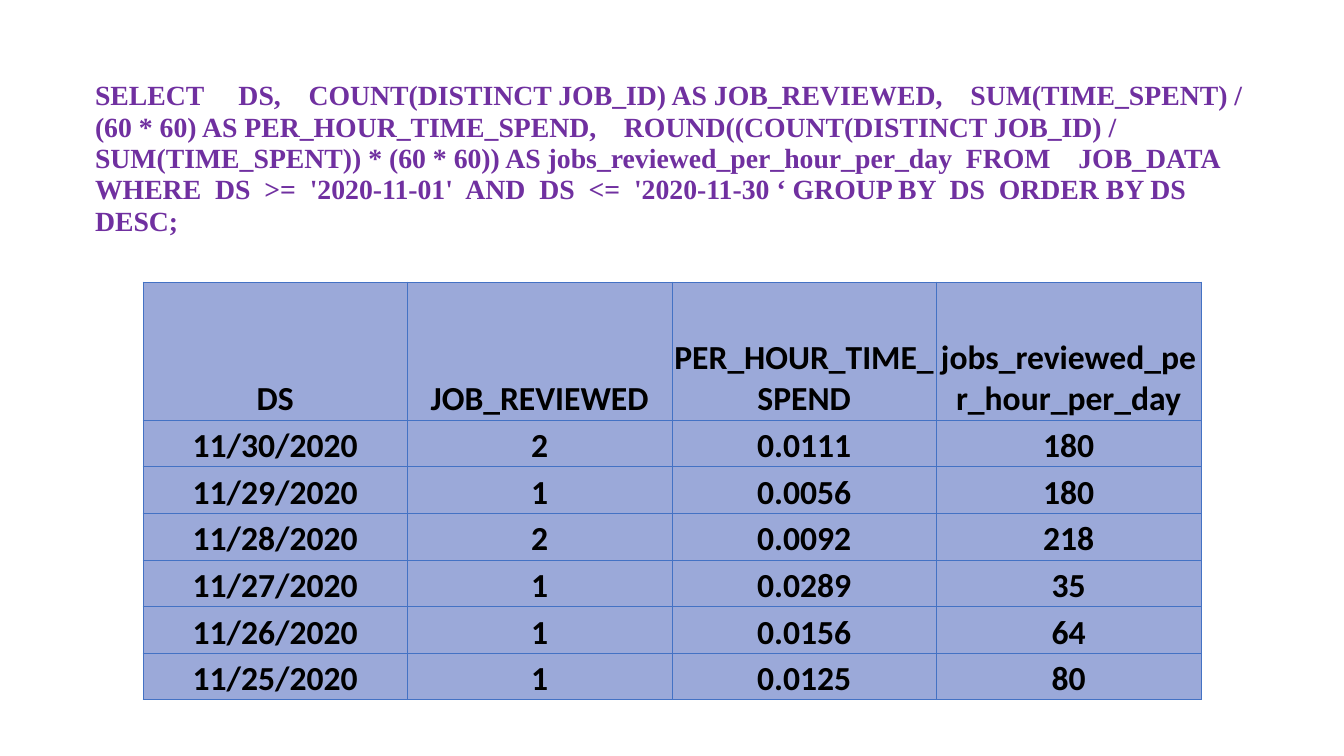
from dataclasses import dataclass
from typing import Any, NamedTuple

from lxml.etree import SubElement
from pptx import Presentation
from pptx.dml.color import RGBColor
from pptx.enum.text import MSO_ANCHOR as Anchor, PP_ALIGN as Align
from pptx.oxml.ns import qn
from pptx.slide import Slide
from pptx.table import _Cell as Cell
from pptx.text.text import _Paragraph as Paragraph
from pptx.util import Emu, Pt

EMU_PER_PX = 914400 / 100.8


@dataclass(frozen=True)
class Theme:
    query_color: str = "7030A0"
    cell_color: str = "000000"
    cell_fill: str = "9BA9D9"
    border_color: str = "4472C4"
    query_font: str = "Times New Roman"
    cell_font: str = "Calibri"
    query_size: float = 19.8
    cell_size: float = 24
    border_width: float = 0.5


class Box(NamedTuple):
    left: int
    top: int
    width: int
    height: int


class TextStyle(NamedTuple):
    font: str
    size: float
    color: str


THEME = Theme()
QUERY_STYLE = TextStyle(THEME.query_font, THEME.query_size, THEME.query_color)
CELL_STYLE = TextStyle(THEME.cell_font, THEME.cell_size, THEME.cell_color)

SLIDE_WIDTH, SLIDE_HEIGHT = 1344, 756
QUERY_BOX = Box(85, 40, 1192, 207)
TABLE_BOX = Box(143, 282, 1058, 418)
HEADER_HEIGHT = 138

QUERY = (
    "SELECT     DS,    COUNT(DISTINCT JOB_ID) AS JOB_REVIEWED,    "
    "SUM(TIME_SPENT) / (60 * 60) AS PER_HOUR_TIME_SPEND,    "
    "ROUND((COUNT(DISTINCT JOB_ID) / SUM(TIME_SPENT)) * (60 * 60)) "
    "AS jobs_reviewed_per_hour_per_day  FROM    JOB_DATA "
    "WHERE  DS  >=  '2020-11-01'  AND  DS  <=  '2020-11-30 ‘ "
    "GROUP BY  DS  ORDER BY DS DESC;"
)
RESULT = [
    ("DS", "JOB_REVIEWED", "PER_HOUR_TIME_SPEND", "jobs_reviewed_per_hour_per_day"),
    ("11/30/2020", "2", "0.0111", "180"),
    ("11/29/2020", "1", "0.0056", "180"),
    ("11/28/2020", "2", "0.0092", "218"),
    ("11/27/2020", "1", "0.0289", "35"),
    ("11/26/2020", "1", "0.0156", "64"),
    ("11/25/2020", "1", "0.0125", "80"),
]


def px(length: float) -> Emu:
    return Emu(round(length * EMU_PER_PX))


def set_format(target: Any, values: dict[str, Any]) -> None:
    for name, value in values.items():
        setattr(target, name, value)


def write_text(paragraph: Paragraph, text: str, style: TextStyle) -> None:
    run = paragraph.add_run()
    run.text = text
    set_format(run.font, {"name": style.font, "size": Pt(style.size), "bold": True})
    run.font.color.rgb = RGBColor.from_string(style.color)


def add_borders(cell: Cell) -> None:
    """Line all four sides; borders must precede the fill in the cell XML."""
    properties = cell._tc.get_or_add_tcPr()
    for side in ("a:lnL", "a:lnR", "a:lnT", "a:lnB"):
        line = SubElement(properties, qn(side), w=str(Pt(THEME.border_width)))
        fill = SubElement(line, qn("a:solidFill"))
        SubElement(fill, qn("a:srgbClr"), val=THEME.border_color)


def add_query(slide: Slide) -> None:
    frame = slide.shapes.add_textbox(*map(px, QUERY_BOX)).text_frame
    set_format(frame, {
        "word_wrap": True,
        "vertical_anchor": Anchor.TOP,
        "margin_top": px(41),
        "margin_left": px(10),
        "margin_right": px(10),
    })
    paragraph = frame.paragraphs[0]
    paragraph.line_spacing = 0.94
    write_text(paragraph, QUERY, QUERY_STYLE)


def fill_cell(cell: Cell, text: str) -> None:
    add_borders(cell)
    cell.fill.solid()
    cell.fill.fore_color.rgb = RGBColor.from_string(THEME.cell_fill)
    set_format(cell, {
        "vertical_anchor": Anchor.BOTTOM,
        "margin_left": px(1),
        "margin_right": px(1),
        "margin_top": px(1),
        "margin_bottom": 0,
    })
    paragraph = cell.text_frame.paragraphs[0]
    paragraph.alignment = Align.CENTER
    write_text(paragraph, text, CELL_STYLE)


def add_result_table(slide: Slide) -> None:
    shape = slide.shapes.add_table(len(RESULT), len(RESULT[0]), *map(px, TABLE_BOX))
    table = shape.table
    set_format(table, {"first_row": False, "horz_banding": False})
    data_height = (TABLE_BOX.height - HEADER_HEIGHT) / (len(RESULT) - 1)
    for index, (row, texts) in enumerate(zip(table.rows, RESULT)):
        row.height = px(data_height if index else HEADER_HEIGHT)
        for cell, text in zip(row.cells, texts):
            fill_cell(cell, text)


def main() -> None:
    presentation = Presentation()
    set_format(presentation, {
        "slide_width": px(SLIDE_WIDTH),
        "slide_height": px(SLIDE_HEIGHT),
    })
    slide = presentation.slides.add_slide(presentation.slide_layouts[6])
    add_query(slide)
    add_result_table(slide)
    presentation.save("out.pptx")


if __name__ == "__main__":
    main()
